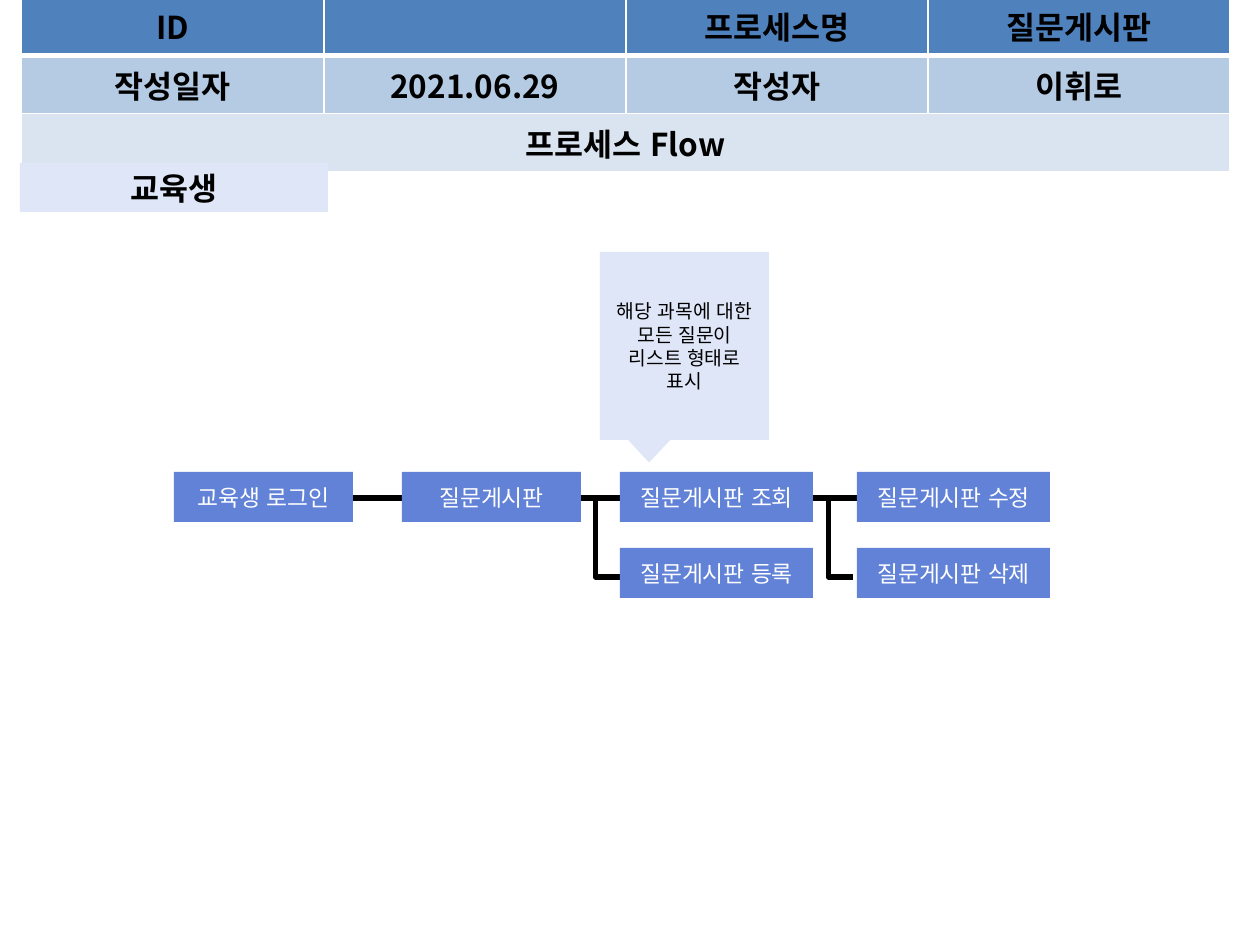
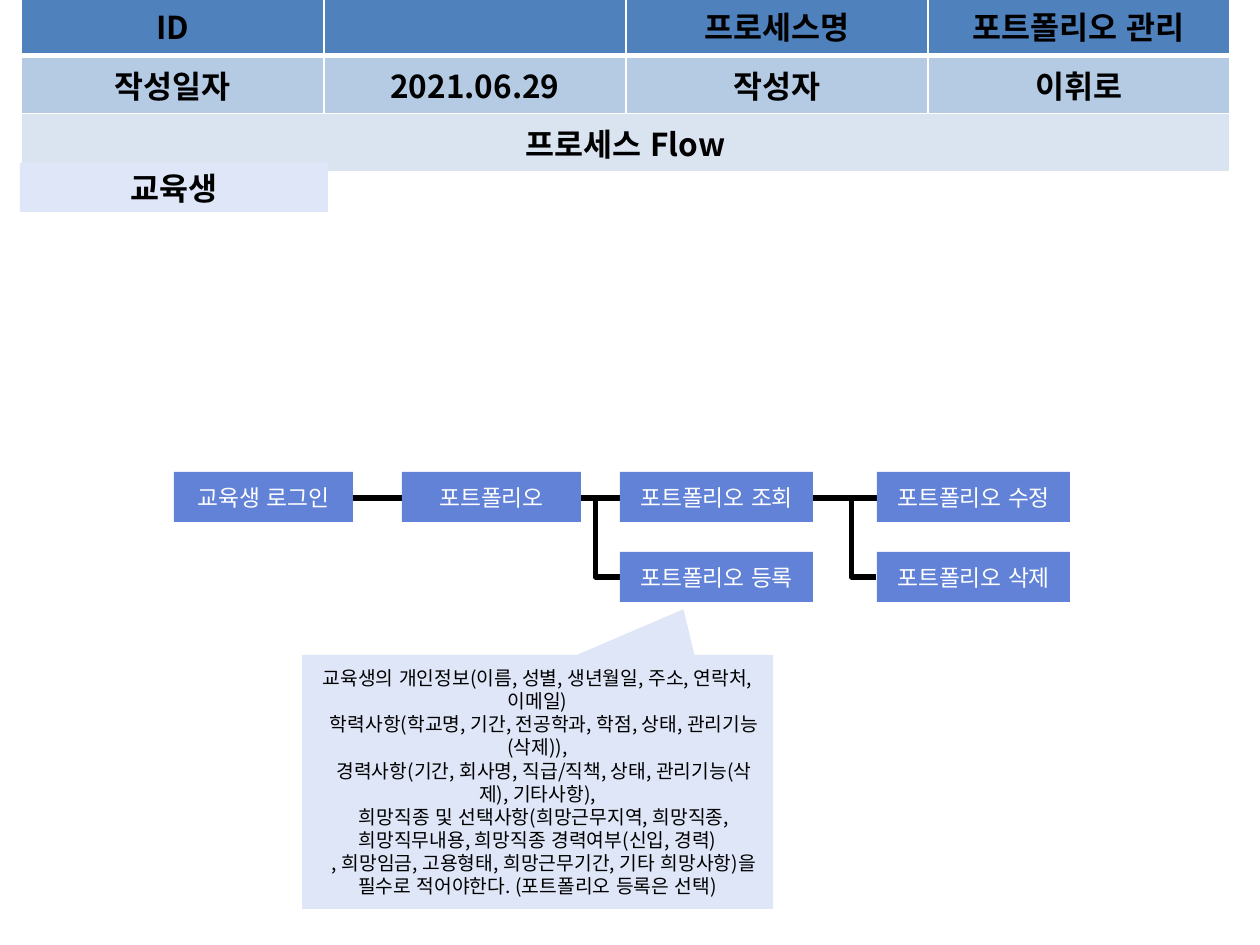
from lxml import etree
from pptx import Presentation
from pptx.dml.color import RGBColor
from pptx.enum.lang import MSO_LANGUAGE_ID as LANG
from pptx.enum.shapes import MSO_CONNECTOR as CONN, MSO_SHAPE as SHAPE
from pptx.enum.text import MSO_ANCHOR, PP_ALIGN
from pptx.oxml.ns import qn
from pptx.util import Pt

# Shared look
FONT = "Noto Sans CJK KR"
BLACK, WHITE = "000000", "FFFFFF"
PALE, STEP_BLUE = "DFE6F7", "6182D6"
ROW_FILLS = ["4F81BD", "B5CAE3", "DAE4F1"]

# Shared grid, in px
COL_WIDTHS = [129, 174, 302, 302, 302]
ROW_H = 52
STEP_Y, STEP_H = 472, 50
LOGIN_X, MENU_X, VIEW_X = 174, 402, 620
STEP_W, WIDE_STEP_W = 179, 193
LINE_Y, BRANCH_Y, BRANCH_W = 498, 577, 49


def px(n):
    return round(n * 914400 / 126)


def rgb(color):
    return RGBColor.from_string(color)


def format_text(tf, size, color, bold=False):
    for p in tf.paragraphs:
        p.alignment = PP_ALIGN.CENTER
        for r in p.runs:
            f = r.font
            f.size, f.bold, f.name = Pt(size), bold, FONT
            f.color.rgb = rgb(color)
            f.language_id = LANG.KOREAN
            latin = f._element.find(qn("a:latin"))
            latin.addnext(etree.Element(qn("a:ea"), typeface=FONT))


def add_box(slide, text, box, fill, size, color, bold=False, kind=SHAPE.RECTANGLE):
    s = slide.shapes.add_shape(kind, *map(px, box))
    s.shadow.inherit = False
    s.fill.solid()
    s.fill.fore_color.rgb = rgb(fill)
    s.line.fill.background()
    tf = s.text_frame
    tf.word_wrap = True
    tf.vertical_anchor = MSO_ANCHOR.MIDDLE
    tf.text = text
    format_text(tf, size, color, bold)
    return s


def add_step(slide, text, x, y, w):
    add_box(slide, text, (x, y, w, STEP_H), STEP_BLUE, 13, WHITE)


def add_callout(slide, lines, box, tip):
    s = add_box(slide, "\n".join(lines), box, PALE, 11, BLACK,
                kind=SHAPE.RECTANGULAR_CALLOUT)
    s.adjustments[0], s.adjustments[1] = tip
    for p in s.text_frame.paragraphs[1:]:
        p._p.get_or_add_pPr().set("indent", str(px(13)))


def add_line(slide, kind, x1, y1, x2, y2):
    c = slide.shapes.add_connector(kind, *map(px, (x1, y1, x2, y2)))
    c.line.color.rgb = rgb(BLACK)
    c.line.width = Pt(3)
    etree.SubElement(c._element.spPr, qn("a:effectLst"))


def set_borders(cell, widths):
    tc_pr = cell._tc.get_or_add_tcPr()
    for side, width in widths.items():
        ln = etree.SubElement(tc_pr, qn("a:ln" + side), w=str(Pt(width)))
        fill = etree.SubElement(ln, qn("a:solidFill"))
        etree.SubElement(fill, qn("a:srgbClr"), val=WHITE)


def add_header(slide, process):
    rows = [["ID", "", "", "프로세스명", process],
            ["작성일자", "", "2021.06.29", "작성자", "이휘로"],
            ["프로세스 Flow", "", "", "", ""]]
    table = slide.shapes.add_table(len(rows), len(COL_WIDTHS), px(21), px(-3),
                                   px(sum(COL_WIDTHS)), px(ROW_H * len(rows))).table
    for col, width in zip(table.columns, COL_WIDTHS):
        col.width = px(width)
    for i, row in enumerate(rows):
        table.rows[i].height = px(ROW_H)
        for j, text in enumerate(row):
            cell = table.cell(i, j)
            # The first row is set off by a thicker rule
            set_borders(cell, {"L": 1, "R": 1, "T": 3 if i == 1 else 1,
                               "B": 3 if i == 0 else 1})
            cell.fill.solid()
            cell.fill.fore_color.rgb = rgb(ROW_FILLS[i])
            cell.text = text
            format_text(cell.text_frame, 18, BLACK, True)
    for i, last in enumerate([1, 1, 4]):
        table.cell(i, 0).merge(table.cell(i, last))


def add_process_slide(prs, process, menu, edit_x, branch_x, line_end, lower_y):
    slide = prs.slides.add_slide(prs.slide_layouts[6])
    # Branches behind everything else
    for x in (branch_x, 571):
        add_line(slide, CONN.ELBOW, x, LINE_Y, x + BRANCH_W, BRANCH_Y)
    # Header and role
    add_header(slide, process)
    add_box(slide, "교육생", (20, 163, 308, 49), PALE, 18, BLACK, True)
    # Main line and steps
    add_line(slide, CONN.STRAIGHT, LOGIN_X + STEP_W, LINE_Y, line_end, LINE_Y)
    add_step(slide, "교육생 로그인", LOGIN_X, STEP_Y, STEP_W)
    add_step(slide, menu, MENU_X, STEP_Y, STEP_W)
    for x, actions in ((VIEW_X, ("조회", "등록")), (edit_x, ("수정", "삭제"))):
        for y, action in zip((STEP_Y, lower_y), actions):
            add_step(slide, f"{menu} {action}", x, y, WIDE_STEP_W)
    return slide


def main():
    prs = Presentation()
    prs.slide_width, prs.slide_height = px(1260), px(945)

    # Question board
    slide = add_process_slide(prs, "질문게시판", "질문게시판", edit_x=857,
                              branch_x=804, line_end=1027, lower_y=548)
    add_callout(slide, ["해당 과목에 대한 모든 질문이 리스트 형태로 표시"],
                (600, 252, 169, 188), (-0.21, 0.62))

    # Portfolio
    slide = add_process_slide(prs, "포트폴리오 관리", "포트폴리오", edit_x=877,
                              branch_x=827, line_end=973, lower_y=552)
    add_callout(slide, [
        "교육생의 개인정보(이름, 성별, 생년월일, 주소, 연락처, 이메일)",
        "학력사항(학교명, 기간, 전공학과, 학점, 상태, 관리기능(삭제)),",
        "경력사항(기간, 회사명, 직급/직책, 상태, 관리기능(삭제), 기타사항),",
        "희망직종 및 선택사항(희망근무지역, 희망직종, 희망직무내용, "
        "희망직종 경력여부(신입, 경력)",
        ", 희망임금, 고용형태, 희망근무기간, 기타 희망사항)을 필수로 적어야한다. "
        "(포트폴리오 등록은 선택)",
    ], (302, 655, 471, 254), (0.31, -0.68))

    prs.save("out.pptx")


if __name__ == "__main__":
    main()
